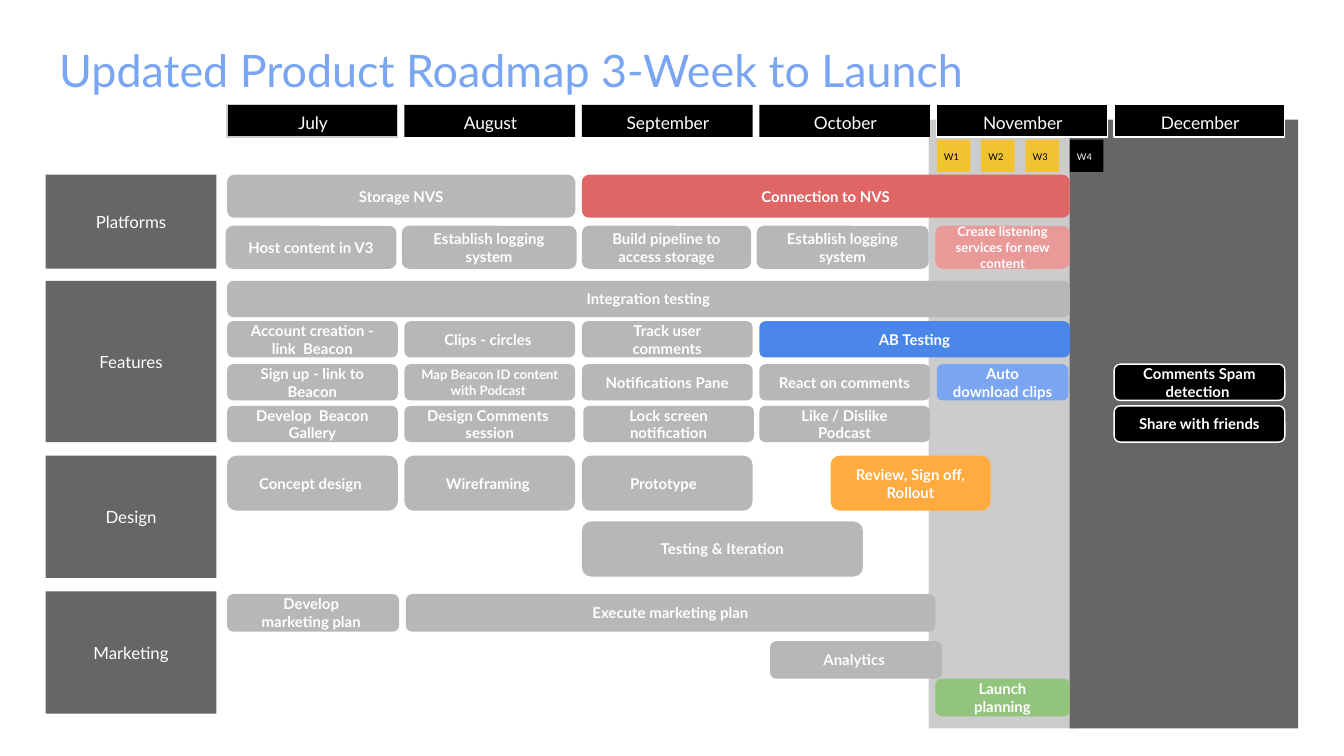
import pptx
import pptx.util
import pptx.dml.color
import pptx.enum.shapes
import pptx.enum.text

Inches = pptx.util.Inches
SHAPE = pptx.enum.shapes.MSO_SHAPE
ALIGN = pptx.enum.text.PP_ALIGN

COLORS = {
    "band": "CCCCCC", "dark": "666666", "done": "B7B7B7", "black": "000000",
    "white": "FFFFFF", "title": "79A5F2", "week": "F1C232", "red": "E06666",
    "pink": "EA9999", "blue": "4A86E8", "sky": "79A5F2", "orange": "FFAB40",
    "green": "93C47D",
}
FRAME = {"word_wrap": True, "auto_size": pptx.enum.text.MSO_AUTO_SIZE.NONE,
         "vertical_anchor": pptx.enum.text.MSO_ANCHOR.MIDDLE}
SIDES = ("margin_left", "margin_top", "margin_right", "margin_bottom")


def write(sp, text, size, color="white", bold=False, inset=0.1, align=ALIGN.CENTER):
    tf = sp.text_frame
    for key, value in {**FRAME, **dict.fromkeys(SIDES, Inches(inset))}.items():
        setattr(tf, key, value)
    tf.text = text
    for p in tf.paragraphs:
        p.alignment = align
        font = p.runs[0].font
        for key, value in {"name": "Lato", "size": pptx.util.Pt(size), "bold": bold}.items():
            setattr(font, key, value)
        font.color.rgb = pptx.dml.color.RGBColor.from_string(COLORS[color])


def box(x, y, w, h, fill, line=None, kind=SHAPE.RECTANGLE):
    sp = s.shapes.add_shape(kind, Inches(x), Inches(y), Inches(w), Inches(h))
    sp.shadow.inherit = False
    sp.fill.solid()
    sp.fill.fore_color.rgb = pptx.dml.color.RGBColor.from_string(COLORS[fill])
    if line:
        sp.line.color.rgb = pptx.dml.color.RGBColor.from_string(COLORS[line])
        sp.line.width = pptx.util.Pt(0.75)
    else:
        sp.line.fill.background()
    return sp


# 16:9 slide
prs = pptx.Presentation()
prs.slide_width = Inches(10)
prs.slide_height = Inches(10 * 9 / 16)
s = prs.slides.add_slide(prs.slide_layouts[5])

# Title
title = s.shapes.title
for key, value in {"left": 0.34, "top": 0.2, "width": 9.32, "height": 0.63}.items():
    setattr(title, key, Inches(value))
write(title, "Updated Product Roadmap 3-Week to Launch", 24, "title", align=ALIGN.LEFT)

# Background bands for the current and the coming month
box(6.91, 0.89, 1.09, 4.53, "band")
box(7.96, 0.89, 1.7, 4.53, "dark")

# Month headers: a frame with a label on it
W = 1.27
JUL, AUG, SEP, OCT, NOV, DEC = cols = [round(1.69 + 1.32 * i, 2) for i in range(6)]
months = ["July", "August", "September", "October", "November", "December"]
month_lines = ["band", None, None, None, "white", "white"]
for x, month, line in zip(cols, months, month_lines):
    box(x, 0.78, W, 0.24, "black", line)
    write(box(x + 0.06, 0.81, 1.16, 0.2, "black"), month, 9.3, inset=0.18)

# Weeks of November
for i in range(4):
    fill, color = ("week", "black") if i < 3 else ("black", "white")
    x = NOV + 0.33 * i
    box(x, 1.04, 0.25, 0.24, fill)
    label = s.shapes.add_textbox(Inches(x - 0.06), Inches(1.03), Inches(0.34), Inches(0.27))
    write(label, f"W{i + 1}", 5, color)

# Workstream labels
for y, h, name in [(1.3, 0.7, "Platforms"), (2.09, 1.2, "Features"),
                   (3.39, 0.91, "Design"), (4.4, 0.91, "Marketing")]:
    write(box(0.34, y, W, h, "dark"), name, 9, inset=0.18)

# Task bars: row top, row height, then (left, width, fill, text)
END = 7.96
rows = [
    # Platforms
    (1.3, 0.32, [(JUL, 2.59, "done", "Storage NVS"),
                 (SEP, END - SEP, "red", "Connection to NVS")]),
    (1.68, 0.32, [(1.68, W, "done", "Host content in V3"),
                  (2.99, 1.3, "done", "Establish logging system"),
                  (SEP, 1.26, "done", "Build pipeline to access storage"),
                  (5.63, 1.28, "done", "Establish logging system"),
                  (6.96, 1, "pink", "Create listening services for new content")]),
    # Features
    (2.09, 0.27, [(JUL, END - JUL, "done", "Integration testing")]),
    (2.39, 0.27, [(JUL, W, "done", "Account creation - link  Beacon"),
                  (AUG, W, "done", "Clips - circles "),
                  (SEP, W, "done", "Track user comments"),
                  (OCT, END - OCT, "blue", "AB Testing")]),
    (2.71, 0.27, [(JUL, W, "done", "Sign up - link to Beacon"),
                  (AUG, W, "done", "Map Beacon ID content with Podcast "),
                  (SEP, W, "done", "Notifications Pane"),
                  (OCT, W, "done", "React on comments"),
                  (NOV, 0.98, "sky", "Auto download clips"),
                  (DEC, W, "black", "Comments Spam detection ")]),
    (3.02, 0.27, [(JUL, W, "done", "Develop  Beacon Gallery"),
                  (AUG, W, "done", "Design Comments  session"),
                  (SEP + 0.01, W, "done", "Lock screen notification"),
                  (OCT, W, "done", "Like / Dislike Podcast"),
                  (DEC, W, "black", "Share with friends")]),
    # Design
    (3.39, 0.41, [(JUL, W, "done", "Concept design "),
                  (AUG, W, "done", "Wireframing "),
                  (SEP, W, "done", "Prototype  "),
                  (6.18, 1.19, "orange", "Review, Sign off, Rollout")]),
    (3.88, 0.41, [(SEP, 2.09, "done", "Testing & Iteration")]),
    # Marketing
    (4.42, 0.28, [(JUL, 1.28, "done", "Develop \nmarketing plan "),
                  (3.02, 3.94, "done", "Execute marketing plan")]),
    (4.77, 0.28, [(5.73, 1.28, "done", "Analytics ")]),
    (5.05, 0.28, [(6.96, 1, "green", "Launch planning")]),
]
for y, h, bars in rows:
    for x, w, fill, text in bars:
        line = "white" if fill == "black" else None
        size = 7 if len(text) > 32 else 8
        sp = box(x, y, w, h, fill, line, SHAPE.ROUNDED_RECTANGLE)
        write(sp, text, size, bold=True)

prs.save("out.pptx")
